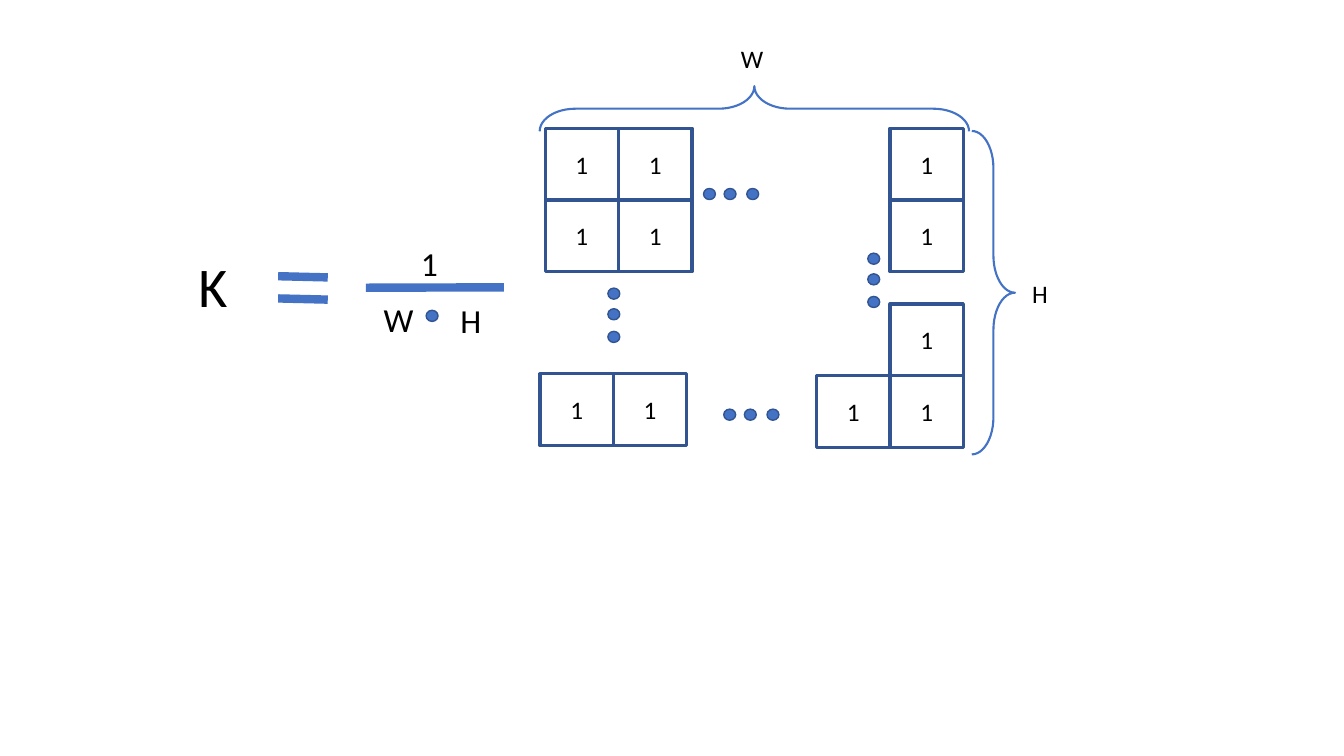
"""Build the averaging-kernel slide: K equals one over W times H, times a matrix of ones."""
from dataclasses import dataclass

from lxml.etree import SubElement
from pptx import Presentation
from pptx.dml.color import RGBColor
from pptx.enum.shapes import MSO_CONNECTOR, MSO_SHAPE
from pptx.enum.text import MSO_ANCHOR, MSO_AUTO_SIZE, PP_ALIGN
from pptx.oxml.ns import qn
from pptx.shapes.autoshape import Shape
from pptx.slide import Slide
from pptx.text.text import TextFrame
from pptx.util import Cm, Pt

BLUE, DARK_BLUE, BLACK = "4472C4", "325491", "000000"
FONT = "Calibri"
CELL_WIDTH, CELL_HEIGHT = 1.85, 1.81
DOT_WIDTH, DOT_HEIGHT = 0.3, 0.28
DOT_OFFSETS = (0, 0.52, 1.09)


@dataclass(frozen=True)
class Block:
    left: float
    top: float
    columns: int
    rows: int


@dataclass(frozen=True)
class Ellipsis:
    left: float
    top: float
    vertical: bool = False


@dataclass(frozen=True)
class Bar:
    left: float
    top: float
    right: float
    bottom: float


@dataclass(frozen=True)
class Brace:
    left: float
    top: float
    width: float
    height: float
    rotation: int
    curve: float


@dataclass(frozen=True)
class Symbol:
    text: str
    left: float
    top: float
    width: float
    height: float
    size: int


BLOCKS = (
    Block(13.74, 3.23, 2, 2),
    Block(13.61, 9.42, 2, 1),
    Block(20.58, 9.47, 2, 1),
    Block(22.43, 7.66, 1, 1),
    Block(22.43, 3.23, 1, 2),
)
ELLIPSES = (
    Ellipsis(17.73, 4.75),
    Ellipsis(15.32, 7.26, vertical=True),
    Ellipsis(18.24, 10.31),
    Ellipsis(21.87, 6.38, vertical=True),
)
EQUALS_AND_FRACTION = (
    Bar(7.01, 6.96, 8.26, 6.99),
    Bar(7.01, 7.52, 8.26, 7.55),
    Bar(9.22, 7.25, 12.7, 7.24),
)
BRACES = (
    Brace(18.44, -2.67, 1.14, 10.82, 90, 0.79),
    Brace(24.49, 3.3, 1.09, 8.15, 180, 0.86),
)
SYMBOLS = (
    Symbol("W", 18.42, 0.97, 0.92, 1.03, 18),
    Symbol("H", 25.76, 6.88, 0.92, 1.03, 18),
    Symbol("W", 9.42, 7.42, 0.92, 1.28, 24),
    Symbol("H", 11.35, 7.44, 0.92, 1.28, 24),
    Symbol("1", 10.36, 5.99, 0.92, 1.28, 24),
    Symbol("K", 4.75, 6.22, 1.63, 1.96, 40),
)


def colour(value: str) -> RGBColor:
    """Turn a hex string into a colour."""
    return RGBColor.from_string(value)


def write(frame: TextFrame, text: str, size: int) -> None:
    """Set the text of a frame and format its run."""
    frame.text = text
    font = frame.paragraphs[0].runs[0].font
    font.name, font.size = FONT, Pt(size)
    font.color.rgb = colour(BLACK)


def add_outlined(slide: Slide, kind: MSO_SHAPE, left: float, top: float,
                 width: float, height: float, line: str, weight: float) -> Shape:
    """Add an unfilled shape with a plain outline."""
    shape = slide.shapes.add_shape(kind, Cm(left), Cm(top), Cm(width), Cm(height))
    shape.shadow.inherit = False
    shape.fill.background()
    shape.line.color.rgb = colour(line)
    shape.line.width = Pt(weight)
    return shape


def draw_block(slide: Slide, block: Block) -> None:
    """Draw a grid of matrix cells, each holding a one."""
    for row in range(block.rows):
        for column in range(block.columns):
            cell = add_outlined(slide, MSO_SHAPE.RECTANGLE,
                                block.left + column * CELL_WIDTH,
                                block.top + row * CELL_HEIGHT,
                                CELL_WIDTH, CELL_HEIGHT, DARK_BLUE, 2.25)
            write(cell.text_frame, "1", 18)
            cell.text_frame.vertical_anchor = MSO_ANCHOR.MIDDLE
            cell.text_frame.paragraphs[0].alignment = PP_ALIGN.CENTER


def draw_dot(slide: Slide, left: float, top: float) -> None:
    """Draw one filled dot."""
    dot = add_outlined(slide, MSO_SHAPE.OVAL, left, top,
                       DOT_WIDTH, DOT_HEIGHT, DARK_BLUE, 1)
    dot.fill.solid()
    dot.fill.fore_color.rgb = colour(BLUE)


def draw_ellipsis(slide: Slide, ellipsis: Ellipsis) -> None:
    """Draw three dots in a row or a column."""
    for offset in DOT_OFFSETS:
        across, down = (0, offset) if ellipsis.vertical else (offset, 0)
        draw_dot(slide, ellipsis.left + across, ellipsis.top + down)


def draw_bar(slide: Slide, bar: Bar) -> None:
    """Draw a thick line of the formula."""
    line = slide.shapes.add_connector(MSO_CONNECTOR.STRAIGHT, Cm(bar.left), Cm(bar.top),
                                      Cm(bar.right), Cm(bar.bottom))
    line.line.color.rgb = colour(BLUE)
    line.line.width = Pt(6)
    SubElement(line._element.spPr, qn("a:effectLst"))


def draw_brace(slide: Slide, brace: Brace) -> None:
    """Draw a brace that spans one side of the matrix."""
    span = add_outlined(slide, MSO_SHAPE.LEFT_BRACE, brace.left, brace.top,
                        brace.width, brace.height, BLUE, 1.5)
    span.rotation = brace.rotation
    span.adjustments[0] = brace.curve


def draw_symbol(slide: Slide, symbol: Symbol) -> None:
    """Write one symbol of the formula or the matrix size."""
    frame = slide.shapes.add_textbox(Cm(symbol.left), Cm(symbol.top),
                                     Cm(symbol.width), Cm(symbol.height)).text_frame
    frame.word_wrap = True
    frame.auto_size = MSO_AUTO_SIZE.SHAPE_TO_FIT_TEXT
    write(frame, symbol.text, symbol.size)


def main() -> None:
    """Build and save the presentation."""
    presentation = Presentation()
    presentation.slide_width, presentation.slide_height = Cm(33.87), Cm(19.05)
    slide = presentation.slides.add_slide(presentation.slide_layouts[6])
    for block in BLOCKS:
        draw_block(slide, block)
    for ellipsis in ELLIPSES:
        draw_ellipsis(slide, ellipsis)
    for bar in EQUALS_AND_FRACTION:
        draw_bar(slide, bar)
    for brace in BRACES:
        draw_brace(slide, brace)
    for symbol in SYMBOLS:
        draw_symbol(slide, symbol)
    draw_dot(slide, 10.74, 7.82)
    presentation.save("out.pptx")


main()
